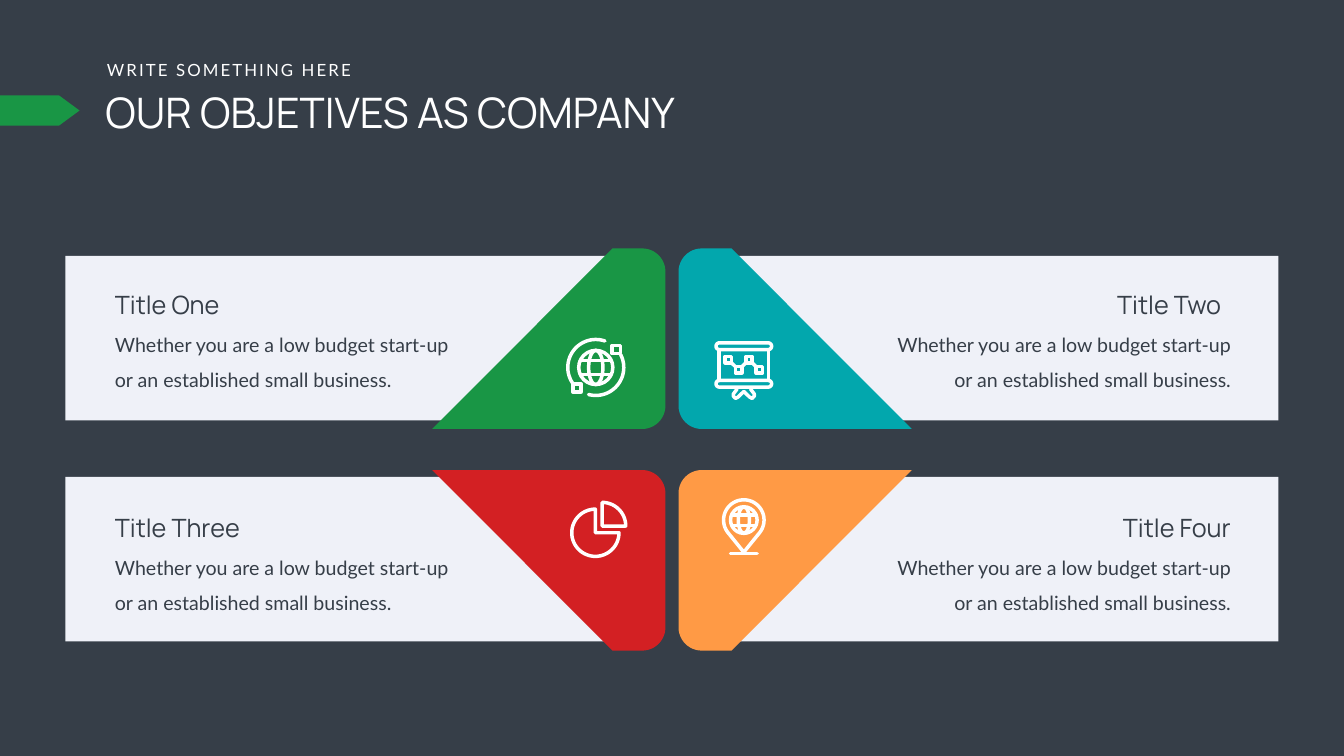
"""Build the company objectives slide: a header and four mirrored cards."""
from math import cos, radians, sin

from lxml.etree import SubElement
from pptx import Presentation
from pptx.dml.color import RGBColor
from pptx.enum.shapes import MSO_CONNECTOR, MSO_SHAPE as SHAPE
from pptx.enum.text import MSO_ANCHOR as ANCHOR, MSO_AUTO_SIZE as AUTO, PP_ALIGN as ALIGN
from pptx.oxml.ns import qn
from pptx.util import Cm, Pt

COLOURS = {
    "dark": "363E48", "panel": "EFF1F8", "white": "FFFFFF", "green": "199645",
    "teal": "02A7AD", "red": "D32023", "orange": "FF9A45",
}
FORMATS = {
    "heading": {"size": Pt(60), "name": "Manrope", "bold": False},
    "kicker": {"size": Pt(24), "name": "Lato"},
    "card title": {"size": Pt(36), "name": "Manrope"},
    "card body": {"size": Pt(28), "name": "Lato"},
}
BODY = "Whether you are a low budget start-up or an established small business."
AXIS = 33.86
PANEL_TOPS, WEDGE_TOPS, TEXT_DROPS = (12.9, 24.03), (12.52, 23.69), (1.55, 1.64)
PANEL_WIDTH, PANEL_HEIGHT, PANEL_GAP = 28.22, 8.29, 2.34
WEDGE_WIDTH, WEDGE_HEIGHT, WEDGE_GAP = 11.75, 9.1, 0.33
WEDGE_FLAT, WEDGE_RADIUS = 2.67, 1.17
STROKE = Pt(5)


def rgb(name):
    """Return the named colour."""
    return RGBColor.from_string(COLOURS[name])


def paint(shape, fill=None, stroke=False):
    """Give a shape a fill or none, and a white rounded stroke or none."""
    if fill:
        shape.fill.solid()
        shape.fill.fore_color.rgb = rgb(fill)
    else:
        shape.fill.background()
    if stroke:
        stroke_line(shape)
    else:
        shape.line.fill.background()
    shape.shadow.inherit = False


def stroke_line(shape):
    """Draw the line of a shape or connector in the icon style."""
    shape.line.color.rgb = rgb("white")
    shape.line.width = STROKE
    shape.element.spPr.find(qn("a:ln")).set("cap", "rnd")


def add_preset(page, kind, box, fill=None, stroke=False):
    """Add a preset shape in a box given in centimetres."""
    shape = page.shapes.add_shape(kind, *map(Cm, box))
    paint(shape, fill, stroke)
    return shape


def add_outline(page, *contours, fill=None, stroke=False, close=True):
    """Add one freeform from contours given as points in centimetres."""
    builder = None
    for points in contours:
        start, *rest = [(Cm(x), Cm(y)) for x, y in points]
        if builder:
            builder.move_to(*start)
        else:
            builder = page.shapes.build_freeform(*start)
        builder.add_line_segments(rest, close=close)
    paint(builder.convert_to_shape(), fill, stroke)


def add_stroke(page, x1, y1, x2, y2):
    """Add a straight icon line."""
    line = page.shapes.add_connector(MSO_CONNECTOR.STRAIGHT, *map(Cm, (x1, y1, x2, y2)))
    stroke_line(line)
    SubElement(line.element.spPr, qn("a:effectLst"))


def centred(x, y, width, height):
    """Return the box of a given size around a point."""
    return x - width / 2, y - height / 2, width, height


def arc(x, y, radius, start, end, steps=48):
    """Return points along an arc, in degrees clockwise from the right."""
    angles = [radians(start + (end - start) * i / steps) for i in range(steps + 1)]
    return [(x + radius * cos(a), y + radius * sin(a)) for a in angles]


def write(shape, text, style, colour, align=ALIGN.LEFT, spacing=1.0, wrap=True):
    """Put one formatted paragraph in a text shape."""
    frame = shape.text_frame
    frame.word_wrap = wrap
    frame.auto_size = AUTO.NONE
    frame.vertical_anchor = ANCHOR.TOP
    para = frame.paragraphs[0]
    para.alignment = align
    para.line_spacing = spacing
    span = para.add_run()
    span.text = text
    for key, value in FORMATS[style].items():
        setattr(span.font, key, value)
    span.font.color.rgb = rgb(colour)
    return span


def add_globe(page, x, y, radius):
    """Draw a globe with one meridian ring and two parallels."""
    for width in (2 * radius, 0.84 * radius):
        add_preset(page, SHAPE.OVAL, centred(x, y, width, 2 * radius), stroke=True)
    for level in (y - 0.4 * radius, y + 0.4 * radius):
        add_stroke(page, x - 0.92 * radius, level, x + 0.92 * radius, level)


def orbit_icon(page, x, y, fill):
    """Draw a globe inside an orbit with two satellites."""
    add_globe(page, x, y, 0.86)
    for start, end in ((-27, 105), (146, 289)):
        add_outline(page, arc(x, y, 1.41, start, end), stroke=True, close=False)
    for dx, dy in ((1.03, -0.9), (-0.95, 1.03)):
        add_preset(page, SHAPE.RECTANGLE, centred(x + dx, y + dy, 0.41, 0.41), fill, True)


def board_icon(page, x, y, fill):
    """Draw a presentation board with a line graph."""
    sides = [[(side, y - 1.06), (side, y + 0.5)] for side in (x - 1.24, x + 1.24)]
    rails = [arc(x - 1.23, level, 0.17, 90, 270, 12) + arc(x + 1.23, level, 0.17, 270, 450, 12)
             + [(x - 1.23, level + 0.17)] for level in (y - 1.23, y + 0.66)]
    leg = [(0.34, 0.93), (0.53, 1.18), (0.53, 1.28), (0.42, 1.4), (0.29, 1.33)]
    feet = [(-dx, dy) for dx, dy in leg] + [(0, 1.05)] + leg[::-1]
    feet = [(x + dx, y + dy) for dx, dy in feet]
    add_outline(page, *sides, *rails, feet, stroke=True, close=False)
    knots = [(x - 0.78 + 0.52 * i, y + (-0.04 if i % 2 else -0.55)) for i in range(4)]
    add_outline(page, knots, stroke=True, close=False)
    for knot in knots:
        add_preset(page, SHAPE.RECTANGLE, centred(*knot, 0.32, 0.32), fill, True)


def pie_icon(page, x, y, fill):
    """Draw a pie with one quarter pulled out."""
    for shift, start, end in ((0, 0, 270), (0.34, 270, 360)):
        centre = (x + shift, y - shift)
        add_outline(page, [centre, *arc(*centre, 1.19, start, end)], stroke=True)


def pin_icon(page, x, y, fill):
    """Draw a map pin around a globe."""
    add_globe(page, x, y, 0.67)
    add_outline(page, [(x, y + 1.62), *arc(x, y, 1.02, 143, 397)], stroke=True)
    add_stroke(page, x - 0.67, y + 1.69, x + 0.67, y + 1.69)


def add_wedge(page, side, top, flipped, fill):
    """Draw the coloured wedge beside the axis, wide at its bottom unless flipped."""
    r, height = WEDGE_RADIUS, WEDGE_HEIGHT
    points = [(WEDGE_FLAT, 0), *arc(r, r, r, 270, 180, 12),
              *arc(r, height - r, r, 180, 90, 12), (WEDGE_WIDTH, height)]
    add_outline(page, [(AXIS + side * (WEDGE_GAP + u), top + (height - v if flipped else v))
                       for u, v in points], fill=fill)


def add_card(page, side, row, title, fill, icon, icon_at, title_inset):
    """Add a panel with its wedge, texts and icon; side is -1 left or 1 right."""
    top, drop = PANEL_TOPS[row], TEXT_DROPS[row]
    left = AXIS + PANEL_GAP if side > 0 else AXIS - PANEL_GAP - PANEL_WIDTH
    add_preset(page, SHAPE.RECTANGLE, (left, top, PANEL_WIDTH, PANEL_HEIGHT), "panel")
    add_wedge(page, side, WEDGE_TOPS[row], row == 1, fill)
    align = ALIGN.RIGHT if side > 0 else ALIGN.LEFT
    body_inset = 2.15 if side > 0 else 2.24
    for text, style, inset, down, width, height, spacing in (
        (BODY, "card body", body_inset, drop + 1.61, 18.39, 3.6, 1.5),
        (title, "card title", title_inset, drop, 7.2, 1.8, 1.0),
    ):
        start = left + PANEL_WIDTH - inset - width if side > 0 else left + inset
        box = page.shapes.add_textbox(*map(Cm, (start, top + down, width, height)))
        write(box, text, style, "dark", align, spacing)
    across, down = icon_at
    icon(page.shapes.add_group_shape(), AXIS + side * across, top + down, fill)


def add_header(page, left, top):
    """Add the heading, the line above it and the arrow tab at the edge."""
    heading = page.shapes.title
    heading.left, heading.top, heading.width, heading.height = map(Cm, (left, top, 40.8, 2.82))
    write(heading, "OUR OBJETIVES AS COMPANY", "heading", "white")
    box = page.shapes.add_textbox(*map(Cm, (left + 0.08, top - 1.36, 13.06, 1.27)))
    span = write(box, "WRITE SOMETHING HERE", "kicker", "white", wrap=False)
    span.font._element.set("spc", "300")
    tab = add_preset(page, SHAPE.PENTAGON, (0, top + 0.58, 4.01, 1.52), "green")
    tab.adjustments[0] = 0.68


def main():
    """Build and save the deck."""
    deck = Presentation()
    deck.slide_width, deck.slide_height = Cm(67.72), Cm(38.1)
    page = deck.slides.add_slide(deck.slide_layouts[5])
    page.background.fill.solid()
    page.background.fill.fore_color.rgb = rgb("dark")
    add_header(page, 5.06, 4.23)
    for card in (
        (-1, 0, "Title One", "green", orbit_icon, (3.84, 5.62), 2.24),
        (1, 0, "Title Two", "teal", board_icon, (3.62, 5.78), 2.64),
        (-1, 1, "Title Three", "red", pie_icon, (3.86, 2.82), 2.24),
        (1, 1, "Title Four", "orange", pin_icon, (3.62, 2.18), 2.15),
    ):
        add_card(page, *card)
    deck.save("out.pptx")


if __name__ == "__main__":
    main()
